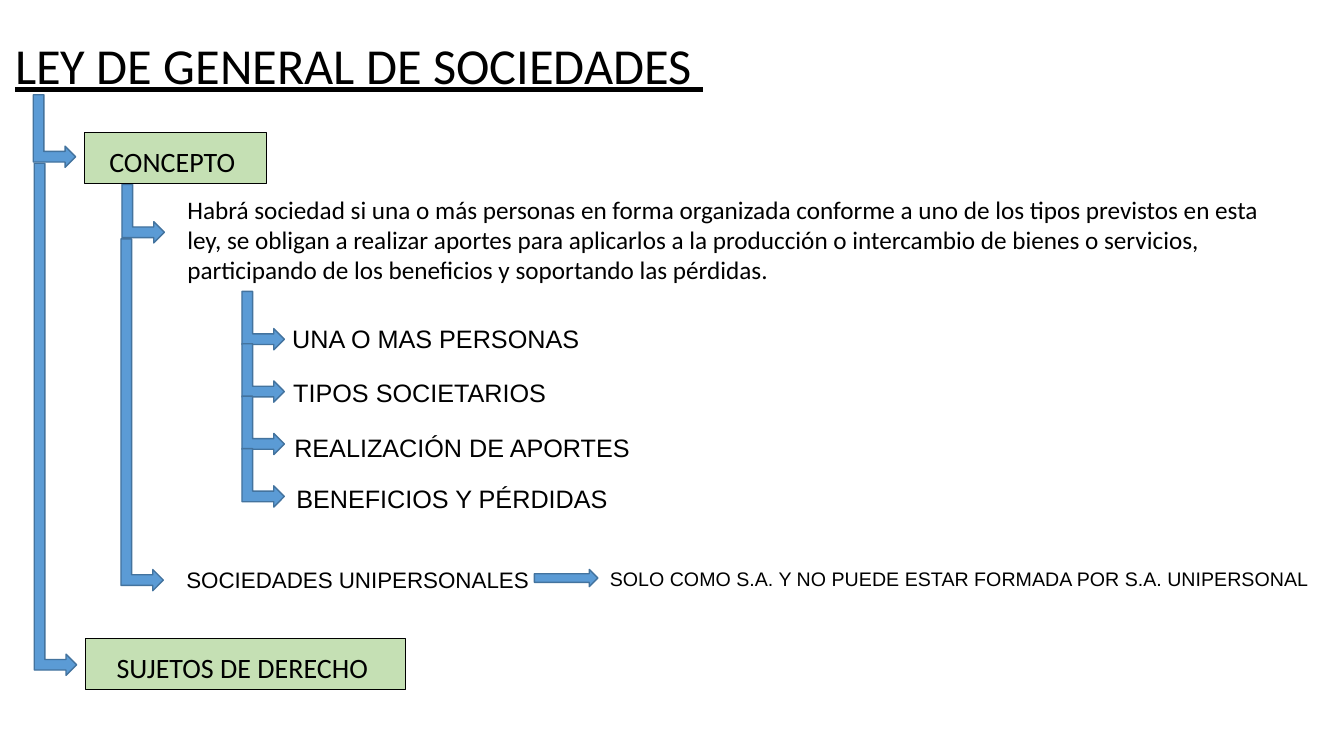
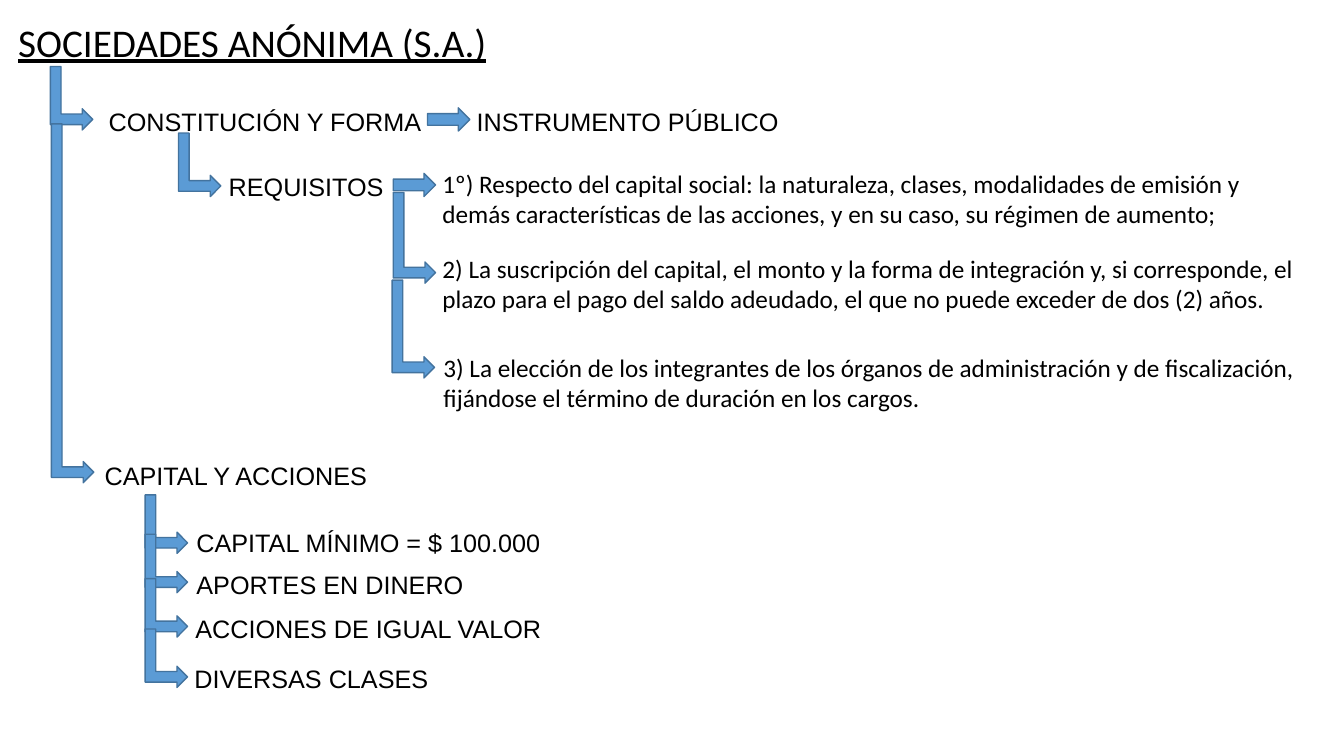
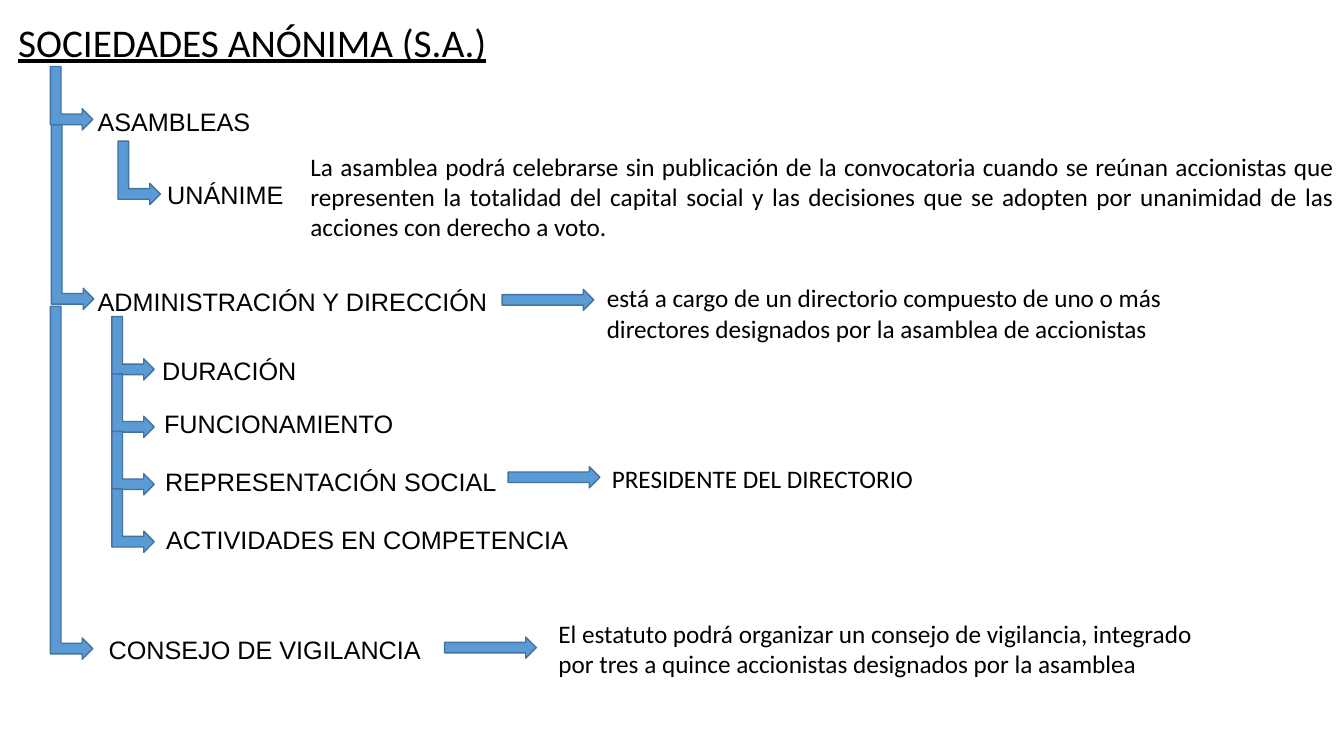
from pptx import Presentation
from pptx.dml.color import RGBColor
from pptx.enum.shapes import MSO_SHAPE
from pptx.enum.text import MSO_ANCHOR, MSO_AUTO_SIZE, PP_ALIGN
from pptx.util import Inches, Pt

BLACK, BLUE, NAVY, GREEN = "000000", "5B9BD5", "43739E", "C5E0B4"
HEAD, BODY = "Calibri", "Arial"
DEPTH = 0.42  # width of a bent arrow as seen on the slide


def tint(code):
    return RGBColor.from_string(code)


def apply(target, values):
    for name, value in values.items():
        setattr(target, name, value)


class Deck:
    """Holds the shared style and the slide being built."""

    def __init__(self):
        self.prs = Presentation()
        self.prs.slide_width = Inches(13.33)
        self.prs.slide_height = Inches(7.5)
        self.slide = None

    def fill_text(self, shape, text, look, para, frame):
        tf = shape.text_frame
        apply(tf, {"word_wrap": True, **frame})
        tf.text = text
        first = tf.paragraphs[0]
        apply(first, {"space_before": Pt(0), **para})
        font = first.runs[0].font
        apply(font, look)
        font.color.rgb = tint(BLACK)

    def page(self, text, x, y, w, h, size):
        self.slide = self.prs.slides.add_slide(self.prs.slide_layouts[5])
        title = self.slide.shapes.title
        apply(title, {"left": Inches(x), "top": Inches(y),
                      "width": Inches(w), "height": Inches(h)})
        self.fill_text(title, text,
                       {"name": HEAD, "size": Pt(size), "underline": True},
                       {"alignment": PP_ALIGN.LEFT, "line_spacing": 0.9},
                       {"vertical_anchor": MSO_ANCHOR.TOP,
                        "auto_size": MSO_AUTO_SIZE.NONE})

    def shape(self, kind, x, y, w, h, fill, edge, weight):
        shape = self.slide.shapes.add_shape(
            kind, Inches(x), Inches(y), Inches(w), Inches(h))
        shape.shadow.inherit = False
        shape.fill.solid()
        shape.fill.fore_color.rgb = tint(fill)
        shape.line.color.rgb = tint(edge)
        shape.line.width = Pt(weight)
        return shape

    def box(self, x, y, w, text):
        shape = self.shape(MSO_SHAPE.RECTANGLE, x, y, w, 0.51,
                           GREEN, BLACK, 0.75)
        self.fill_text(shape, text, {"name": HEAD, "size": Pt(20)},
                       {"alignment": PP_ALIGN.CENTER, "line_spacing": 0.9},
                       {"vertical_anchor": MSO_ANCHOR.BOTTOM})

    def arrow(self, x, y, w, h):
        self.shape(MSO_SHAPE.RIGHT_ARROW, x, y, w, h, BLUE, NAVY, 1)

    def bend(self, x, y, drop):
        """Arrow that falls by drop from x, y and then turns right."""
        shift = (drop - DEPTH) / 2
        shape = self.shape(MSO_SHAPE.BENT_UP_ARROW, x - shift, y + shift,
                           drop, DEPTH, BLUE, NAVY, 1)
        shape.rotation = 90

    def label(self, x, y, w, text, size=18, font=BODY, lines=1,
              align=PP_ALIGN.LEFT):
        high = 0.1 + lines * size * 1.22 / 72
        shape = self.slide.shapes.add_textbox(
            Inches(x), Inches(y), Inches(w), Inches(high))
        self.fill_text(shape, text, {"name": font, "size": Pt(size)},
                       {"alignment": align},
                       {"vertical_anchor": MSO_ANCHOR.MIDDLE,
                        "auto_size": MSO_AUTO_SIZE.SHAPE_TO_FIT_TEXT})

    def note(self, x, y, w, text, lines=2, align=PP_ALIGN.LEFT):
        self.label(x, y, w, text, 18, HEAD, lines, align)

    def bends(self, *places):
        for place in places:
            self.bend(*place)

    def labels(self, *items):
        for item in items:
            self.label(*item)


def law(deck):
    deck.page("LEY DE GENERAL DE SOCIEDADES ", 0.05, 0.36, 7.9, 0.8, 36)
    deck.bends((0.33, 0.94, 0.72), (0.34, 1.62, 5.08),
               (1.21, 1.83, 0.58), (1.2, 2.37, 3.49))
    deck.bends(*((2.4, 2.89 + 0.52 * i, 0.58) for i in range(4)))
    deck.box(0.84, 1.31, 1.8, "CONCEPTO ")
    deck.box(0.85, 6.33, 3.17, "SUJETOS DE DERECHO ")
    deck.note(1.76, 1.87, 10.98,
              "Habrá sociedad si una o más personas en forma organizada "
              "conforme a uno de los tipos previstos en esta ley, se obligan "
              "a realizar aportes para aplicarlos a la producción o "
              "intercambio de bienes o servicios, participando de los "
              "beneficios y soportando las pérdidas.", 3)
    deck.labels(
        (2.8, 3.15, 3.85, "UNA O MAS PERSONAS"),
        (2.81, 3.69, 3.85, "TIPOS SOCIETARIOS"),
        (2.82, 4.24, 3.85, "REALIZACIÓN DE APORTES"),
        (2.84, 4.74, 3.85, "BENEFICIOS Y PÉRDIDAS"),
        (1.75, 5.56, 3.66, "SOCIEDADES UNIPERSONALES", 16),
        (5.95, 5.57, 7.14, "SOLO COMO S.A. Y NO PUEDE ESTAR FORMADA POR "
                           "S.A. UNIPERSONAL", 14))
    deck.arrow(5.3, 5.65, 0.63, 0.17)


def company(deck):
    """Starts a slide on the S.A. with its title and first arrow."""
    deck.page("SOCIEDADES ANÓNIMA (S.A.)", 0.08, 0.18, 10.97, 0.6, 28)
    deck.bend(0.5, 0.66, 0.63)


def capital(deck):
    company(deck)
    deck.bends((0.51, 1.23, 3.56), (1.77, 1.32, 0.63),
               (3.9, 1.91, 0.9), (3.89, 2.78, 0.97))
    deck.bends(*((1.44, y, 0.58) for y in (4.91, 5.3, 5.74, 6.24)))
    deck.arrow(4.24, 1.07, 0.42, 0.23)
    deck.arrow(3.9, 1.72, 0.42, 0.23)
    deck.labels(
        (0.98, 1, 3.66, "CONSTITUCIÓN Y FORMA"),
        (4.63, 1, 4.43, "INSTRUMENTO PÚBLICO"),
        (2.17, 1.65, 4.43, "REQUISITOS"),
        (0.94, 4.51, 3.04, "CAPITAL Y ACCIONES"),
        (1.85, 5.18, 5.25, "CAPITAL MÍNIMO = $ 100.000"),
        (1.85, 5.59, 5.25, "APORTES EN DINERO"),
        (1.84, 6.03, 5.25, "ACCIONES DE IGUAL VALOR"),
        (1.83, 6.53, 5.25, "DIVERSAS CLASES"))
    deck.note(4.29, 1.61, 8.73,
              "1º) Respecto del capital social: la naturaleza, clases, "
              "modalidades de emisión y demás características de las "
              "acciones, y en su caso, su régimen de aumento;")
    deck.note(4.29, 2.46, 9.04,
              "2) La suscripción del capital, el monto y la forma de "
              "integración y, si corresponde, el plazo para el pago del "
              "saldo adeudado, el que no puede exceder de dos (2) años.")
    deck.note(4.3, 3.44, 9.03,
              "3) La elección de los integrantes de los órganos de "
              "administración y de fiscalización, fijándose el término de "
              "duración en los cargos.")


def organs(deck):
    company(deck)
    deck.bends((0.51, 1.24, 1.83), (0.5, 3.04, 3.5), (1.17, 1.4, 0.63))
    deck.bends(*((1.11, 3.14 + 0.57 * i, 0.63) for i in range(4)))
    for x, y in ((4.98, 2.87), (5.04, 4.63), (4.41, 6.32)):
        deck.arrow(x, y, 0.91, 0.21)
    deck.labels(
        (0.87, 1, 3.66, "ASAMBLEAS"),
        (1.56, 1.73, 4.98, "UNÁNIME"),
        (0.87, 2.79, 5.05, "ADMINISTRACIÓN Y DIRECCIÓN"),
        (1.51, 3.47, 1.84, "DURACIÓN"),
        (1.53, 4, 3.47, "FUNCIONAMIENTO"),
        (1.54, 4.57, 3.71, "REPRESENTACIÓN SOCIAL"),
        (1.55, 5.15, 5.18, "ACTIVIDADES EN COMPETENCIA"),
        (0.98, 6.24, 3.63, "CONSEJO DE VIGILANCIA"))
    deck.note(2.98, 1.44, 10.35,
              "La asamblea podrá celebrarse sin publicación de la "
              "convocatoria cuando se reúnan accionistas que representen la "
              "totalidad del capital social y las decisiones que se adopten "
              "por unanimidad de las acciones con derecho a voto.",
              3, PP_ALIGN.JUSTIFY)
    deck.note(5.92, 2.75, 6.5,
              "está a cargo de un directorio compuesto de uno o más "
              "directores designados por la asamblea de accionistas")
    deck.note(5.97, 4.54, 6.5, "PRESIDENTE DEL DIRECTORIO", 1)
    deck.note(5.44, 6.08, 6.67,
              "El estatuto podrá organizar un consejo de vigilancia, "
              "integrado por tres a quince accionistas designados por la "
              "asamblea")


def main():
    deck = Deck()
    for build in (law, capital, organs):
        build(deck)
    deck.prs.save("out.pptx")


if __name__ == "__main__":
    main()
